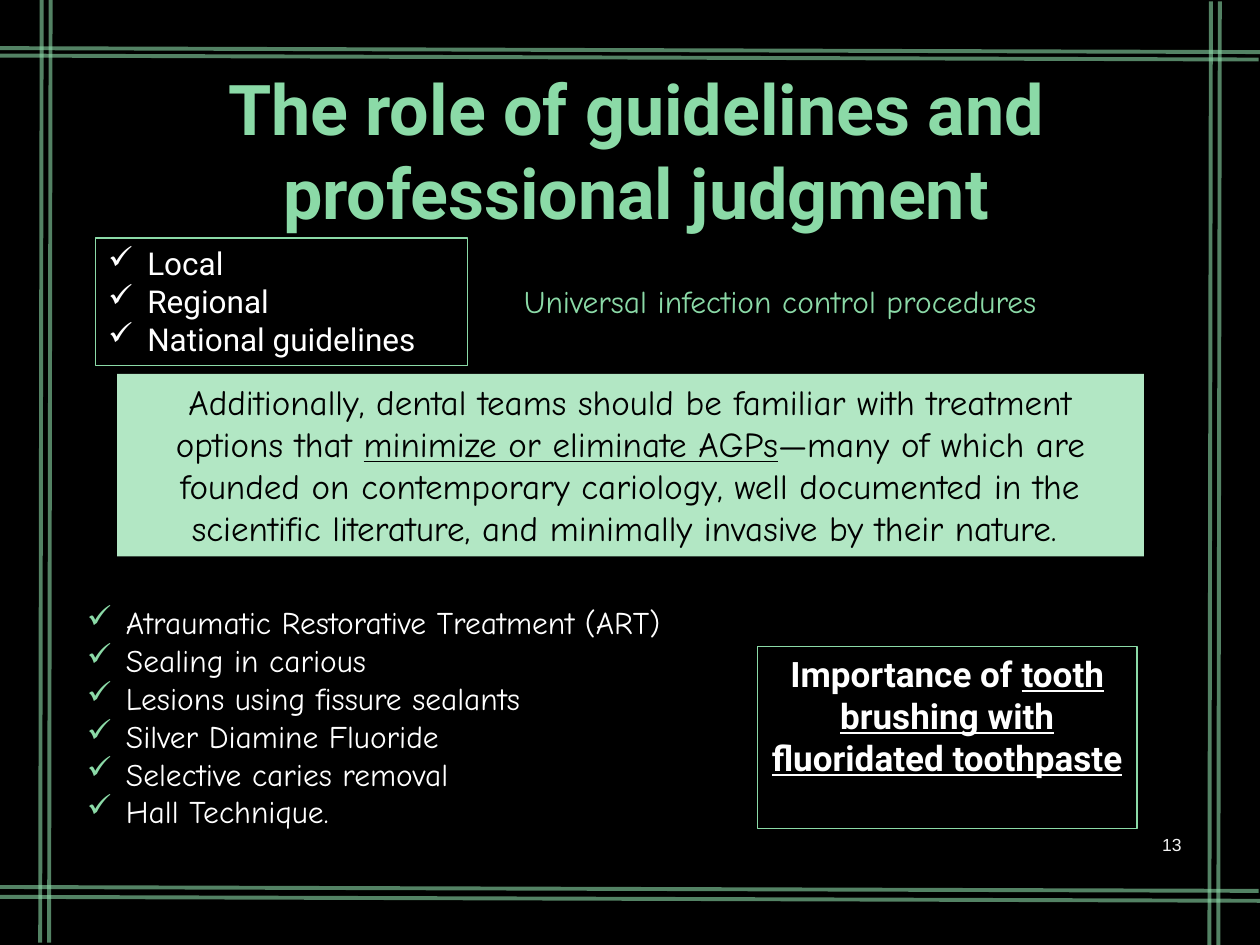
"""Build the slide on guidelines and professional judgment."""
from lxml import etree
from pptx import Presentation
from pptx.dml.color import RGBColor
from pptx.enum.shapes import MSO_CONNECTOR, MSO_SHAPE
from pptx.enum.text import MSO_ANCHOR, PP_ALIGN
from pptx.oxml.ns import qn
from pptx.util import Cm, Pt

LEFT, CENTER, RIGHT = PP_ALIGN.LEFT, PP_ALIGN.CENTER, PP_ALIGN.RIGHT
TOP, MIDDLE = MSO_ANCHOR.TOP, MSO_ANCHOR.MIDDLE
RECTANGLE, STRAIGHT = MSO_SHAPE.RECTANGLE, MSO_CONNECTOR.STRAIGHT

COLORS = {
    "background": "000000",
    "green": "8BDAA7",
    "pale": "B2E7C4",
    "black": "000000",
    "white": "FFFFFF",
    "number": "F2F2F2",
}
WIDTH, HEIGHT = 25.4, 19.05
HORIZONTALS = [(0, 0.97), (-0.03, 1.12), (-0.03, 17.88), (0, 18.08)]
VERTICALS = [(0.84, -0.05), (1.02, -0.05), (24.41, 0.03), (24.59, 0.03)]
GUIDELINES = ["Local", "Regional", "National guidelines"]
TREATMENTS = [
    "Atraumatic Restorative Treatment (ART)",
    "Sealing in carious",
    "Lesions using fissure sealants",
    "Silver Diamine Fluoride",
    "Selective caries removal",
    "Hall Technique.",
]
ADVICE = [
    ("Additionally, dental teams should be familiar with treatment options that ", False),
    ("minimize or eliminate AGPs", True),
    ("—many of which are founded on contemporary cariology, well documented in the "
     "scientific literature, and minimally invasive by their nature. ", False),
]
IMPORTANCE = [
    ("Importance of ", False),
    ("tooth brushing with fluoridated toothpaste ", True),
]


def rgb(name):
    """Return a named colour."""
    return RGBColor.from_string(COLORS[name])


def add_rule(s, x1, y1, x2, y2):
    """Draw one translucent line of the frame."""
    line = s.shapes.add_connector(STRAIGHT, Cm(x1), Cm(y1), Cm(x2), Cm(y2))
    line.line.width = Pt(2.25)
    line.line.color.rgb = rgb("green")
    color = line.line._ln.find(".//" + qn("a:srgbClr"))
    etree.SubElement(color, qn("a:alpha"), val="60000")
    etree.SubElement(line._element.spPr, qn("a:effectLst"))


def add_frame(s):
    """Draw the slightly slanted double lines along all four edges."""
    for x, y in VERTICALS:
        add_rule(s, x, y, x - 0.03, y + HEIGHT)
    for x, y in HORIZONTALS:
        add_rule(s, x, y, x + WIDTH, y + 0.08)


def add_panel(s, box, fill=None, line=None):
    """Add a rectangle and return its text frame."""
    sp = s.shapes.add_shape(RECTANGLE, *map(Cm, box))
    sp.shadow.inherit = False
    if fill:
        sp.fill.solid()
        sp.fill.fore_color.rgb = rgb(fill)
    else:
        sp.fill.background()
    if line:
        sp.line.color.rgb = rgb(line)
        sp.line.width = Pt(0.75)
    else:
        sp.line.fill.background()
    return sp.text_frame


def add_label(s, box):
    """Add a text box and return its text frame."""
    return s.shapes.add_textbox(*map(Cm, box)).text_frame


def add_check(p, color):
    """Give a paragraph a hanging check mark."""
    pPr = p._p.get_or_add_pPr()
    pPr.set("marL", str(Cm(0.79)))
    pPr.set("indent", str(-Cm(0.79)))
    holder = etree.SubElement(pPr, qn("a:buClr"))
    etree.SubElement(holder, qn("a:srgbClr"), val=COLORS[color])
    etree.SubElement(pPr, qn("a:buChar"), char="✓")


def write(tf, paragraphs, size, font, color, align=LEFT, bold=False,
          check=None, anchor=TOP, wrap=True):
    """Fill a text frame with paragraphs made of (text, underlined) runs."""
    tf.word_wrap = wrap
    tf.vertical_anchor = anchor
    for i, runs in enumerate(paragraphs):
        p = tf.add_paragraph() if i else tf.paragraphs[0]
        p.alignment = align
        if check:
            add_check(p, check)
        for text, underlined in runs:
            r = p.add_run()
            r.text = text
            r.font.size = Pt(size)
            r.font.name = font
            r.font.bold = bold
            r.font.underline = underlined
            r.font.color.rgb = rgb(color)


def plain(*texts):
    """Return one paragraph without underline for each text."""
    return [[(text, False)] for text in texts]


def main():
    """Build and save the slide."""
    prs = Presentation()
    prs.slide_width, prs.slide_height = Cm(WIDTH), Cm(HEIGHT)
    s = prs.slides.add_slide(prs.slide_layouts[6])
    s.background.fill.solid()
    s.background.fill.fore_color.rgb = rgb("background")
    add_frame(s)

    title = add_label(s, (1.91, 1.19, 21.82, 2.46))
    write(title, plain("The role of guidelines and professional judgment"),
          40, "Roboto", "green", CENTER, bold=True)
    guidelines = add_panel(s, (1.93, 4.8, 7.49, 2.57), line="green")
    write(guidelines, plain(*GUIDELINES), 18, "Roboto", "white", check="white")
    procedures = add_label(s, (10.31, 5.56, 12.01, 1.02))
    write(procedures, plain("Universal infection control procedures"),
          18, "Comic Neue", "green", wrap=False)
    advice = add_panel(s, (2.36, 7.54, 20.7, 3.68), fill="pale")
    write(advice, [ADVICE], 20, "Comic Neue", "black", CENTER)
    treatments = add_label(s, (1.5, 12.04, 13.77, 4.88))
    write(treatments, plain(*TREATMENTS), 18, "Comic Neue", "white", check="green")
    importance = add_panel(s, (15.27, 13.03, 7.65, 3.68), line="green")
    write(importance, [IMPORTANCE], 20, "Roboto", "white", CENTER, bold=True)
    number = add_label(s, (22.5, 16.51, 1.57, 1.02))
    write(number, plain("13"), 10, "Arial", "number", RIGHT, anchor=MIDDLE)
    prs.save("out.pptx")


if __name__ == "__main__":
    main()
